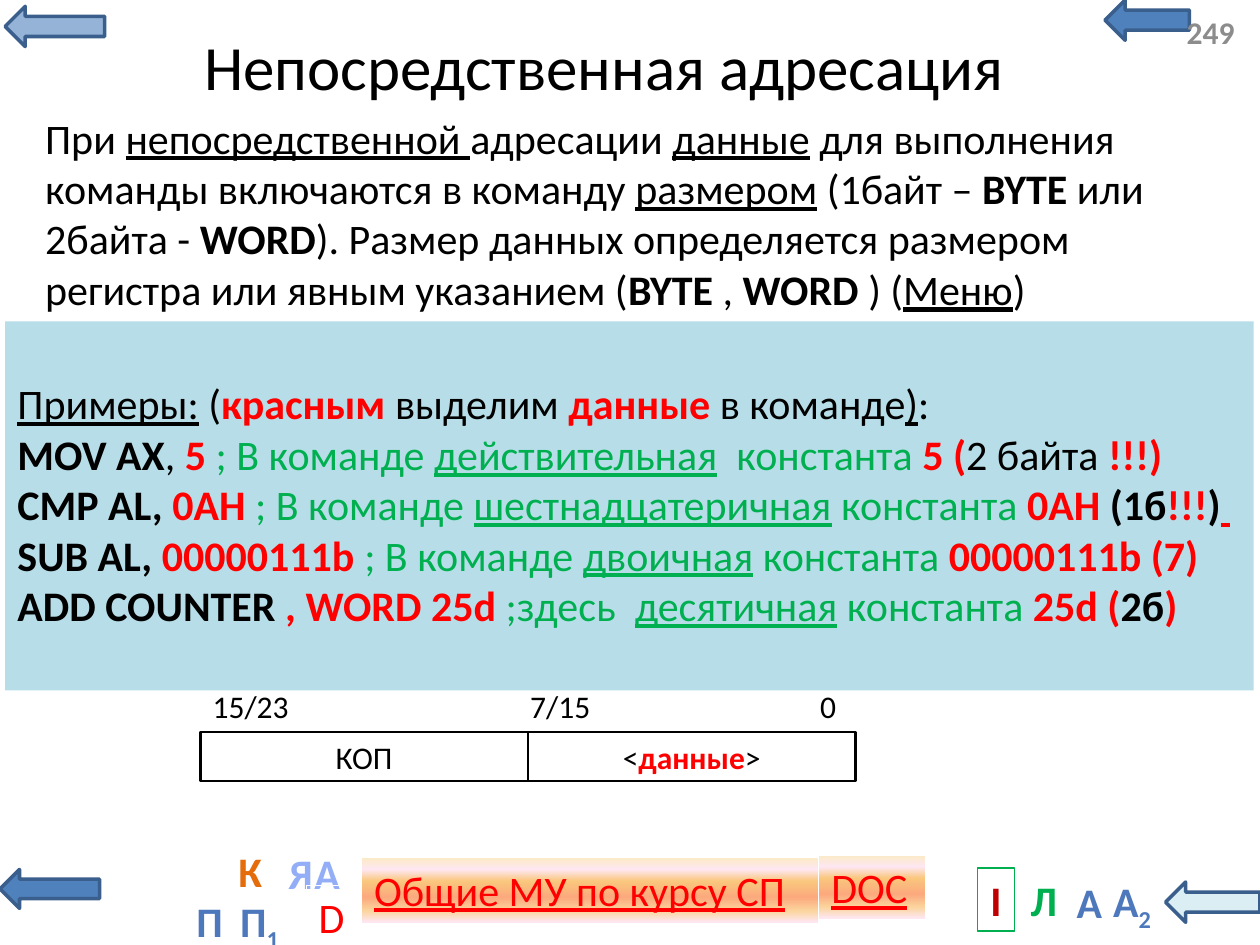
from lxml import etree
from pptx import Presentation
from pptx import util as u
from pptx.dml.color import RGBColor
from pptx.enum import shapes, text
from pptx.oxml.ns import qn

COLORS = {
    "black": "000000", "red": "FF0000", "green": "00B050", "gray": "8C8C8C",
    "white": "FFFFFF", "crimson": "C00000", "orange": "E46C0A", "azure": "0D7BFF",
    "lavender": "93AEF7", "blue": "4F81BD", "navy": "3A5F8C", "sky": "95B3D7",
    "ice": "DBEEF4", "panel": "B7DEE8", "halo": "FEFEFE",
}
GRADIENTS = {
    "peach": [(0, "FBEAC7"), (18, "FEE7F2"), (36, "FAC77D"),
              (61, "FBA97D"), (82, "FBD49C"), (100, "FEE7F2")],
    "steel": [(0, "7494C9"), (49, "4D79BC"), (50, "346AAA"),
              (92, "325F94"), (100, "315D91")],
}
COLUMNS, ROWS = 100, 75
CENTER = text.PP_ALIGN.CENTER


def rgb(name):
    return RGBColor.from_string(COLORS[name])


def paint(fill, element, name):
    """Fill with a plain colour, or with a vertical gradient of that name."""
    if name in COLORS:
        fill.solid()
        fill.fore_color.rgb = rgb(name)
        return
    fill.gradient()
    fill.gradient_angle = 270
    stops = next(element.iter(qn("a:gsLst")))
    for stop in list(stops):
        stops.remove(stop)
    for position, color in GRADIENTS[name]:
        stop = etree.SubElement(stops, qn("a:gs"), pos=str(position * 1000))
        etree.SubElement(stop, qn("a:srgbClr"), val=color)


class SlideBuilder:
    font_name = "Calibri"

    def __init__(self, presentation):
        self.cell_width = presentation.slide_width / COLUMNS
        self.cell_height = presentation.slide_height / ROWS
        self.slide = presentation.slides.add_slide(presentation.slide_layouts[6])

    def place(self, left, top, width, height):
        return [round(left * self.cell_width), round(top * self.cell_height),
                round(width * self.cell_width), round(height * self.cell_height)]

    def shape(self, at, kind=shapes.MSO_SHAPE.RECTANGLE, fill=None, line=None, weight=0.75):
        shape = self.slide.shapes.add_shape(kind, *self.place(*at))
        shape.shadow.inherit = False
        if fill:
            paint(shape.fill, shape._element, fill)
        else:
            shape.fill.background()
        if line:
            shape.line.color.rgb = rgb(line)
            shape.line.width = u.Pt(weight)
        else:
            shape.line.fill.background()
        return shape

    def arrow(self, at, fill):
        return self.shape(at, shapes.MSO_SHAPE.LEFT_ARROW, fill, "navy", 2)

    def label(self, at, *paragraphs, **style):
        box = self.slide.shapes.add_textbox(*self.place(*at))
        return self.set_text(box, *paragraphs, **style)

    def set_text(self, shape, *paragraphs, size=24, align=text.PP_ALIGN.LEFT,
                 middle=False, wrap=True):
        """Each paragraph is a list of (words, marks); marks: b, u, sub, a colour."""
        frame = shape.text_frame
        frame.word_wrap = wrap
        frame.vertical_anchor = text.MSO_ANCHOR.MIDDLE if middle else text.MSO_ANCHOR.TOP
        for index, runs in enumerate(paragraphs):
            paragraph = frame.add_paragraph() if index else frame.paragraphs[0]
            paragraph.alignment = align
            for words, marks in runs:
                self.add_run(paragraph, words, marks.split(), size)
        return shape

    def add_run(self, paragraph, words, marks, size):
        run = paragraph.add_run()
        run.text = words
        font = run.font
        font.name, font.size = self.font_name, u.Pt(size)
        font.bold, font.underline = "b" in marks, "u" in marks
        colors = [mark for mark in marks if mark in COLORS or mark in GRADIENTS]
        paint(font.fill, run._r, colors[0] if colors else "black")
        if "sub" in marks:
            run._r.get_or_add_rPr().set("baseline", "-25000")

    def outline(self, shape, color, weight, alpha=None):
        """Outline the letters; alpha makes their fill partly transparent."""
        properties = shape.text_frame.paragraphs[0].runs[0]._r.get_or_add_rPr()
        if alpha:
            fill_color = next(properties.iter(qn("a:srgbClr")))
            etree.SubElement(fill_color, qn("a:alpha"), val=str(alpha * 1000))
        line = etree.Element(qn("a:ln"), w=str(int(u.Pt(weight))))
        fill = etree.SubElement(line, qn("a:solidFill"))
        etree.SubElement(fill, qn("a:srgbClr"), val=COLORS[color])
        properties.insert(0, line)


def main():
    presentation = Presentation()
    presentation.slide_width, presentation.slide_height = u.Inches(10), u.Inches(7.5)
    builder = SlideBuilder(presentation)

    # Navigation arrows
    for at, fill in [((87.7, 0, 6.7, 3.2), "blue"), ((0, 69, 7.9, 3.1), "blue"),
                     ((0.4, 0.5, 7.9, 3.2), "sky"), ((92.5, 70, 7.5, 3.2), "ice")]:
        builder.arrow(at, fill)

    # Document buttons
    for at, words in [((28.7, 68.1, 36.2, 5.1), "Общие МУ по курсу СП"),
                      ((65, 67.9, 8.4, 5), "DOC")]:
        builder.set_text(builder.shape(at, fill="peach"), [(words, "u red")])

    # Navigation letters
    for at, runs in [((84.4, 69.1, 4.1, 5), [("А", "b steel")]),
                     ((87.2, 69, 5.3, 5), [("А", "b steel"), ("2", "b steel sub")]),
                     ((14.6, 70.6, 3.3, 5), [("П", "b steel")]),
                     ((17.9, 70.6, 5.4, 5), [("П", "b steel"), ("1", "b steel sub")])]:
        builder.label(at, runs, align=CENTER)
    for at, words, marks, edge, weight, alpha in [
            ((17.9, 66.6, 3.9, 5), "К", "b orange", "halo", 1.5, None),
            ((80.8, 68.9, 4.1, 5), "Л", "b green", "halo", 1.5, None),
            ((21.8, 66.8, 6.3, 5), "ЯА", "b azure", "lavender", 1.42, 6),
            ((24.3, 70.3, 3.9, 5), "D", "red", "blue", 0.8, None)]:
        if words == "D":
            letter = builder.shape(at, line="white")
            builder.set_text(letter, [(words, marks)], align=CENTER)
        else:
            letter = builder.label(at, [(words, marks)], align=CENTER, wrap=False)
        if words == "ЯА":
            letter.text_frame.paragraphs[0].runs[0]._r.get_or_add_rPr().set("spc", "100")
        builder.outline(letter, edge, weight, alpha)
    builder.set_text(builder.shape((77.6, 68.9, 2.9, 5), line="green"),
                     [("I", "b crimson")], align=CENTER, wrap=False)

    # Title and slide number
    builder.label((12.5, 1.3, 70.9, 7.7), [("Непосредственная адресация", "")],
                  size=36, align=CENTER, middle=True)
    builder.label((93.2, 0.5, 6.4, 4), [("249", "b gray")], size=18, middle=True)

    # Definition
    builder.label((2.6, 8.4, 95.9, 17.2), [
        ("При ", ""), ("непосредственной ", "u"), ("адресации ", ""), ("данные", "u"),
        (" для выполнения команды включаются в команду ", ""), ("размером", "u"),
        (" (1байт – ", ""), ("BYTE ", "b"), ("или 2байта - ", ""), ("WORD", "b"),
        ("). Размер данных определяется размером регистра или явным указанием (", ""),
        ("BYTE ", "b"), (", ", ""), ("WORD ", "b"), (") (", ""), ("Меню", "u"), (")", "")])

    # Examples
    examples = builder.shape((0.4, 25.5, 99.1, 29.3), fill="panel")
    examples.text_frame.margin_top = u.Inches(0.45)
    builder.set_text(
        examples,
        [("Примеры:", "u"), (" (", ""), ("красным", "b red"), (" выделим ", ""),
         ("данные", "b red"), (" в команде", ""), (")", "u"), (":", "")],
        [("MOV AX", "b"), (", ", ""), ("5 ", "b red"), ("; В команде ", "green"),
         ("действительная", "u green"), ("  константа ", "green"), ("5 (", "b red"),
         ("2 байта ", ""), ("!!!)", "b red")],
        [("CMP AL, ", "b"), ("0AH ", "b red"), ("; В команде ", "green"),
         ("шестнадцатеричная", "u green"), (" константа ", "green"), ("0AH", "b red"),
         (" (1б", "b"), ("!!!", "b red"), (")", "b"), (" ", "b u red")],
        [("SUB AL, ", "b"), ("00000111b ", "b red"), ("; В команде ", "green"),
         ("двоичная", "u green"), (" константа ", "green"), ("00000111b (7)", "b red")],
        [("ADD COUNTER", "b"), (" , WORD 25d", "b red"), (" ;здесь  ", "green"),
         ("десятичная", "u green"), (" константа ", "green"), ("25d (", "b red"),
         ("2б", "b"), (")", "b red")])

    # Command format
    fields = [[("КОП", "")], [("<", ""), ("данные", "b red"), (">", "")]]
    for index, runs in enumerate(fields):
        field = builder.shape((15.9 + 26 * index, 58.1, 26, 3.9), line="black", weight=1.5)
        builder.set_text(field, runs, size=18, align=CENTER, middle=True)
    for left, width, bits in [(15.9, 11, "15/23"), (41.1, 6.8, "7/15"), (64.1, 4.8, "0")]:
        builder.label((left, 54, width, 4), [(bits, "")], size=18)

    presentation.save("out.pptx")


if __name__ == "__main__":
    main()
